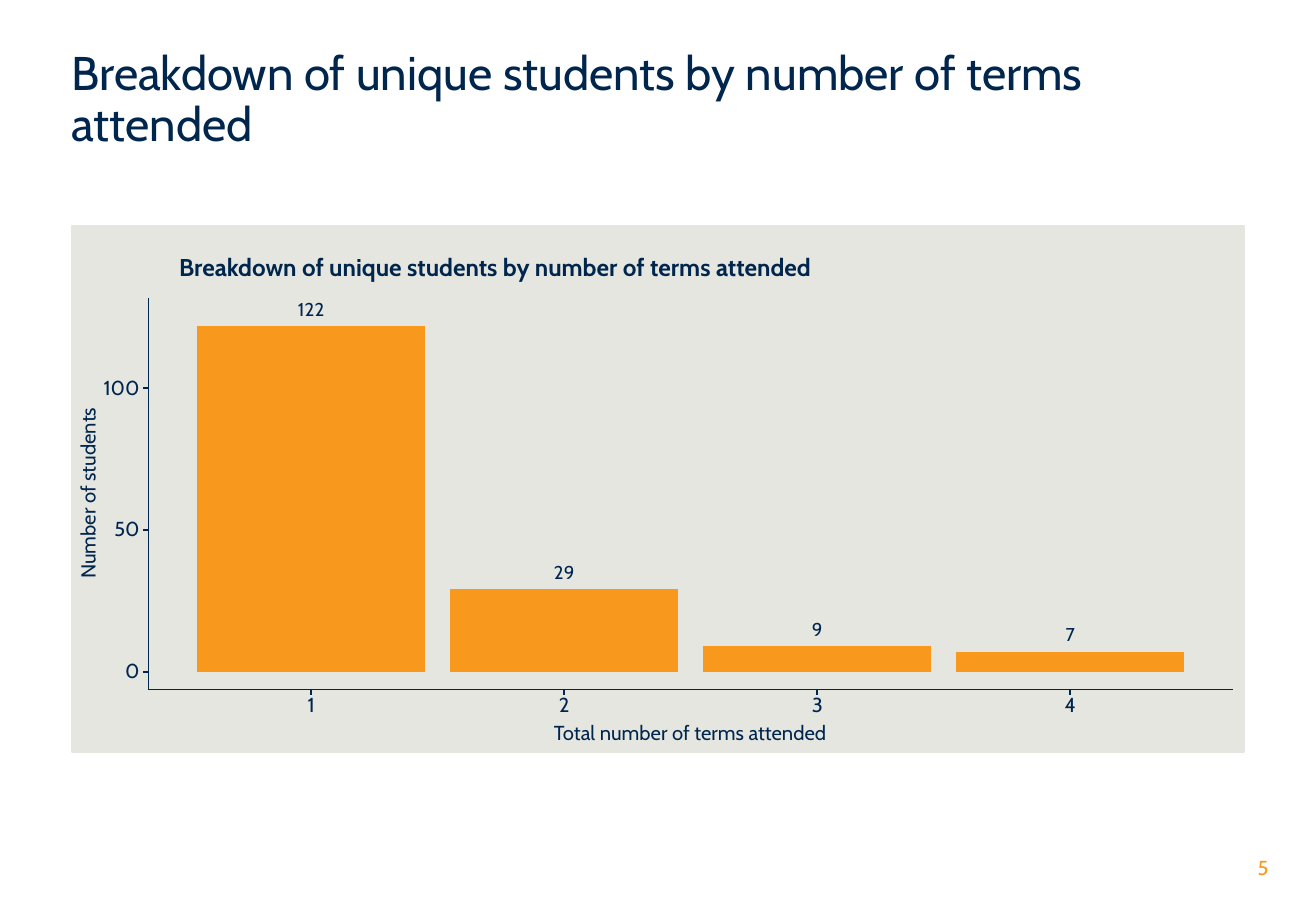
import pptx
import pptx.chart.data
import pptx.dml.color
import pptx.enum.chart
import pptx.enum.shapes
import pptx.enum.text
import pptx.oxml
import pptx.oxml.ns
import pptx.util
from lxml import etree

EMU_PER_PX = 9144
FONT = "Cabin"
NAVY, ORANGE, GREY = "00264D", "F8981D", "E6E6E1"
HEADING = "Breakdown of unique students by number of terms attended"
STUDENTS_BY_TERMS = {"1": 122, "2": 29, "3": 9, "4": 7}

PANEL = (59, 186, 965, 433)
PLOT_LEFT, PLOT_TOP, PLOT_WIDTH, PLOT_HEIGHT = PLOT = (152, 245, 833, 308)
AXIS_MAX = 132
AXIS_LEFT, AXIS_RIGHT, AXIS_BOTTOM = 122, 1015, 568
TICK = 4
ALIGN = pptx.enum.text.PP_ALIGN


def px(length):
    return pptx.util.Emu(round(length * EMU_PER_PX))


def color(value):
    return pptx.dml.color.RGBColor.from_string(value)


def style_font(font, size, ink=NAVY, bold=False):
    font.name = FONT
    font.size = pptx.util.Pt(size)
    font.bold = bold
    font.color.rgb = color(ink)


def write(frame, text, size, align, ink=NAVY, bold=False):
    """Put one vertically centred run into a text frame without side margins."""
    frame.word_wrap = True
    frame.auto_size = pptx.enum.text.MSO_AUTO_SIZE.NONE
    frame.vertical_anchor = pptx.enum.text.MSO_ANCHOR.MIDDLE
    frame.margin_left = frame.margin_right = 0
    frame.margin_top = frame.margin_bottom = 0
    para = frame.paragraphs[0]
    para.alignment = align
    span = para.add_run()
    span.text = text
    style_font(span.font, size, ink, bold)
    return para


def add_title(page):
    title = page.shapes.title
    title.left, title.top, title.width, title.height = map(px, (59, 40, 965, 85))
    write(title.text_frame, HEADING, 28, ALIGN.LEFT).line_spacing = 0.9


def add_label(page, text, area, size=12, align=ALIGN.CENTER, ink=NAVY, bold=False):
    box = page.shapes.add_textbox(*map(px, area))
    write(box.text_frame, text, size, align, ink, bold)
    return box


def add_line(page, start, end, width):
    line = page.shapes.add_connector(
        pptx.enum.shapes.MSO_CONNECTOR.STRAIGHT, *map(px, start + end))
    line.line.color.rgb = color(NAVY)
    line.line.width = pptx.util.Pt(width)
    etree.SubElement(line._element.spPr, pptx.oxml.ns.qn("a:effectLst"))


def add_panel(page):
    panel = page.shapes.add_shape(
        pptx.enum.shapes.MSO_SHAPE.RECTANGLE, *map(px, PANEL))
    panel.shadow.inherit = False
    panel.fill.solid()
    panel.fill.fore_color.rgb = color(GREY)
    panel.line.color.rgb = color(GREY)
    panel.line.width = pptx.util.Pt(1.16)


def fix_plot_area(chart):
    """Pin the inner plot area to PLOT, as fractions of PANEL."""
    left, top, width, height = PANEL
    fractions = {
        "x": (PLOT_LEFT - left) / width,
        "y": (PLOT_TOP - top) / height,
        "w": PLOT_WIDTH / width,
        "h": PLOT_HEIGHT / height,
    }
    qn = pptx.oxml.ns.qn
    plot_area = chart._chartSpace.chart.plotArea
    for old in plot_area.findall(qn("c:layout")):
        plot_area.remove(old)
    layout = etree.Element(qn("c:layout"))
    manual = etree.SubElement(layout, qn("c:manualLayout"))
    settings = {"layoutTarget": "inner", "xMode": "edge", "yMode": "edge"}
    settings.update({name: f"{part:.4f}" for name, part in fractions.items()})
    for name, value in settings.items():
        etree.SubElement(manual, qn("c:" + name)).set("val", value)
    plot_area.insert(0, layout)


def add_bars(page):
    data = pptx.chart.data.CategoryChartData()
    data.categories = list(STUDENTS_BY_TERMS)
    data.add_series("Number of students", list(STUDENTS_BY_TERMS.values()))
    kind = pptx.enum.chart.XL_CHART_TYPE.COLUMN_CLUSTERED
    chart = page.shapes.add_chart(kind, *map(px, PANEL), data).chart
    chart.has_legend = False
    chart.has_title = False
    style_font(chart.font, 11)
    chart.value_axis.minimum_scale = 0
    chart.value_axis.maximum_scale = AXIS_MAX
    chart.value_axis.has_major_gridlines = False
    chart.value_axis.visible = False
    chart.category_axis.visible = False

    plot = chart.plots[0]
    plot.gap_width = 11
    plot.vary_by_categories = False
    fill = plot.series[0].format.fill
    fill.solid()
    fill.fore_color.rgb = color(ORANGE)
    plot.has_data_labels = True
    labels = plot.data_labels
    labels.show_value = True
    labels.position = pptx.enum.chart.XL_LABEL_POSITION.OUTSIDE_END
    style_font(labels.font, 11)
    fix_plot_area(chart)


def add_value_axis(page):
    add_line(page, (AXIS_LEFT, AXIS_BOTTOM), (AXIS_LEFT, PLOT_TOP), 0.57)
    for value in (0, 50, 100):
        y = PLOT_TOP + PLOT_HEIGHT * (1 - value / AXIS_MAX)
        add_line(page, (AXIS_LEFT - TICK, y), (AXIS_LEFT, y), 1.16)
        add_label(page, str(value), (75, y - 10, 40, 18), align=ALIGN.RIGHT)
    add_label(page, "Number of students", (-18, 396, 180, 20)).rotation = 270


def add_category_axis(page):
    add_line(page, (AXIS_LEFT, AXIS_BOTTOM), (AXIS_RIGHT, AXIS_BOTTOM), 0.57)
    step = PLOT_WIDTH / len(STUDENTS_BY_TERMS)
    for index, terms in enumerate(STUDENTS_BY_TERMS):
        x = PLOT_LEFT + step * (index + 0.5)
        add_line(page, (x, AXIS_BOTTOM), (x, AXIS_BOTTOM + TICK), 1.16)
        add_label(page, terms, (x - 20, 571, 40, 18))
    add_label(page, "Total number of terms attended", (438, 594, 260, 18))


def main():
    deck = pptx.Presentation()
    deck.slide_width, deck.slide_height = px(1083), px(750)
    page = deck.slides.add_slide(deck.slide_layouts[5])
    add_title(page)
    add_panel(page)
    add_bars(page)
    add_value_axis(page)
    add_category_axis(page)
    add_label(page, HEADING, (122, 208, 571, 24), size=14.4, bold=True)
    add_label(page, "5", (967, 699, 77, 30), align=ALIGN.RIGHT, ink=ORANGE)
    deck.save("out.pptx")


if __name__ == "__main__":
    main()
